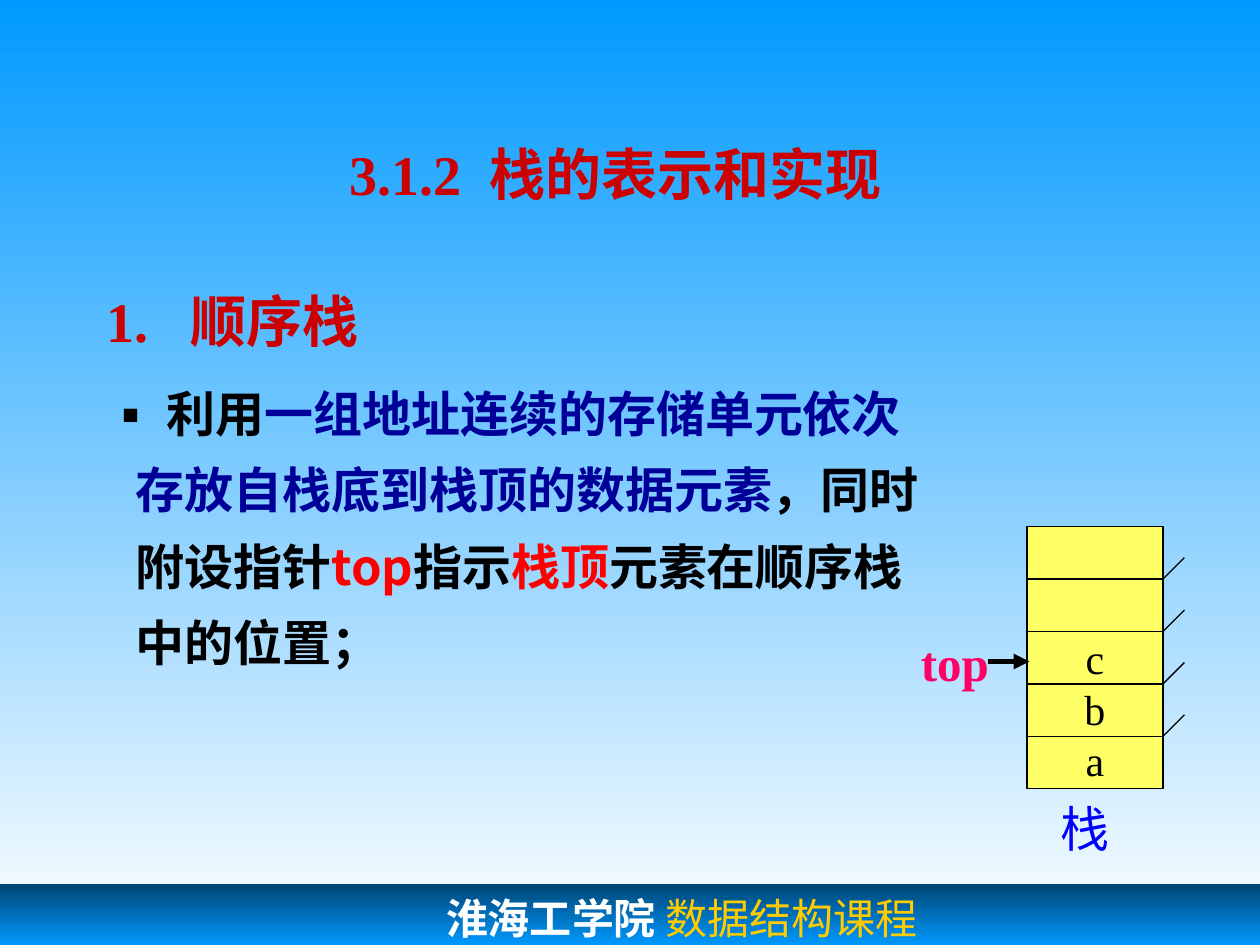
from lxml.etree import SubElement
from pptx import Presentation
from pptx.dml.color import RGBColor
from pptx.enum.shapes import MSO_CONNECTOR as Link, MSO_SHAPE as Preset
from pptx.enum.text import MSO_ANCHOR as Anchor, PP_ALIGN as Align
from pptx.oxml.ns import qn
from pptx.util import Inches, Pt

COLORS = {
    "sky": "0099FF", "deep": "004675", "white": "FFFFFF", "black": "000000",
    "crimson": "CC0000", "navy": "000099", "red": "FF0000", "blue": "0000FF",
    "pink": "FF0066", "gold": "FFCC00", "yellow": "FFFF66",
}
SERIF, SANS = "Times New Roman", "Noto Sans CJK SC"
WIDTH, HEIGHT = 10, 7.5

TITLE = [("3.1.2  栈的表示和实现", 32, SERIF, "crimson", True)]
HEADING = [("1.\t顺序栈", 32, SERIF, "crimson", True)]
DEFINITION = [
    (" ", 28, SERIF, "black", True),
    ("利用", 28, SANS, "black", True),
    ("一组地址连续的存储单元依次存放自栈底到栈顶的数据元素", 28, SANS, "navy", True),
    ("，同时附设指针", 28, SANS, "black", True),
    ("top", 28, SANS, "red", True),
    ("指示", 28, SANS, "black", True),
    ("栈顶", 28, SANS, "red", True),
    ("元素在顺序栈中的位置；", 28, SANS, "black", True),
]
FOOTER = [
    ("淮海工学院", 24, SANS, "white", True),
    (" 数据结构课程", 24, SERIF, "gold", False),
]
STACK_LABEL = [("栈", 28, SERIF, "blue", False)]
TOP_LABEL = [("top", 28, SERIF, "pink", True)]
STACK_ITEMS = ["c", "b", "a"]
STACK_ROWS = 5
STACK = (8.15, 4.18, 1.08, 2.08)
TICK = 0.17


def rgb(key):
    return RGBColor.from_string(COLORS[key])


def shade(fill, element, stops):
    fill.gradient()
    fill.gradient_angle = 270
    gradient = next(element.iter(qn("a:gsLst")))
    for stop in list(gradient):
        gradient.remove(stop)
    for share, key in stops:
        stop = SubElement(gradient, qn("a:gs"), pos=str(share * 1000))
        SubElement(stop, qn("a:srgbClr"), val=COLORS[key])


def write(paragraph, runs, spacing=None, align=Align.LEFT):
    paragraph.alignment = align
    if spacing:
        paragraph.line_spacing = Pt(spacing)
    for text, size, face, color, bold in runs:
        run = paragraph.add_run()
        run.text = text
        run.font.size, run.font.bold = Pt(size), bold
        run.font.name = face
        run.font.color.rgb = rgb(color)
        SubElement(run.font._element, qn("a:ea"), typeface=SANS)


def text_box(slide, at, top_inset=0.05, wrap=True):
    frame = slide.shapes.add_textbox(*map(Inches, at)).text_frame
    frame.word_wrap = wrap
    frame.margin_top = Inches(top_inset)
    return frame


def panel(slide, at):
    shape = slide.shapes.add_shape(Preset.RECTANGLE, *map(Inches, at))
    shape.shadow.inherit = False
    return shape


def line(slide, start, end, width=0.75):
    link = slide.shapes.add_connector(Link.STRAIGHT, *map(Inches, start + end))
    link.line.color.rgb = rgb("black")
    link.line.width = Pt(width)
    SubElement(link._element.spPr, qn("a:effectLst"))
    return link


def add_footer(slide):
    band = panel(slide, (0, 7.02, WIDTH, 0.97))
    shade(band.fill, band._element, [(0, "deep"), (50, "sky"), (100, "deep")])
    band.line.fill.background()
    frame = band.text_frame
    frame.vertical_anchor = Anchor.TOP
    frame.margin_left, frame.margin_top = Inches(3.54), Inches(0.06)
    write(frame.paragraphs[0], FOOTER)


def add_body(slide):
    frame = text_box(slide, (0.75, 2.02, 6.69, 4.48))
    heading = frame.paragraphs[0]
    tabs = SubElement(heading._p.get_or_add_pPr(), qn("a:tabLst"))
    SubElement(tabs, qn("a:tab"), pos=str(Inches(0.66)), algn="l")
    write(heading, HEADING, 53)

    definition = frame.add_paragraph()
    props = definition._p.get_or_add_pPr()
    props.set("marL", str(Inches(0.23)))
    props.set("indent", str(-Inches(0.23)))
    tint = SubElement(props, qn("a:buClr"))
    SubElement(tint, qn("a:srgbClr"), val=COLORS["black"])
    SubElement(props, qn("a:buFont"), typeface=SANS)
    SubElement(props, qn("a:buChar"), char="▪")
    definition.space_before = Pt(7)
    write(definition, DEFINITION, 43.7)


def add_stack(slide):
    left, top, width, height = STACK
    right, row = left + width, height / STACK_ROWS
    stack = panel(slide, STACK)
    stack.fill.solid()
    stack.fill.fore_color.rgb = rgb("yellow")
    stack.line.color.rgb = rgb("black")
    stack.line.width = Pt(0.75)
    frame = stack.text_frame
    frame.word_wrap = False
    frame.vertical_anchor = Anchor.BOTTOM
    frame.margin_bottom = Inches(0.03)
    for index, item in enumerate(STACK_ITEMS):
        paragraph = frame.add_paragraph() if index else frame.paragraphs[0]
        write(paragraph, [(item, 24, SERIF, "black", False)], 29.1, Align.CENTER)
    for level in range(1, STACK_ROWS):
        y = top + level * row
        line(slide, (left, y), (right, y))
        line(slide, (right, y), (right + TICK, y - TICK))


def add_labels(slide):
    label = text_box(slide, (8.32, 6.34, 0.59, 0.57), 0, wrap=False)
    write(label.paragraphs[0], STACK_LABEL)
    pointer = line(slide, (7.84, 5.25), (8.17, 5.25), 3)
    SubElement(pointer.line._get_or_add_ln(), qn("a:tailEnd"), type="triangle")
    label = text_box(slide, (7.21, 4.93, 0.74, 0.57), 0.09, wrap=False)
    write(label.paragraphs[0], TOP_LABEL)


def main():
    deck = Presentation()
    deck.slide_width, deck.slide_height = Inches(WIDTH), Inches(HEIGHT)
    slide = deck.slides.add_slide(deck.slide_layouts[6])
    shade(slide.background.fill, slide._element, [(0, "sky"), (100, "white")])
    add_footer(slide)
    title = text_box(slide, (0.67, 1, 8.43, 1.41), 0.11)
    write(title.paragraphs[0], TITLE, align=Align.CENTER)
    add_body(slide)
    add_stack(slide)
    add_labels(slide)
    deck.save("out.pptx")


if __name__ == "__main__":
    main()
